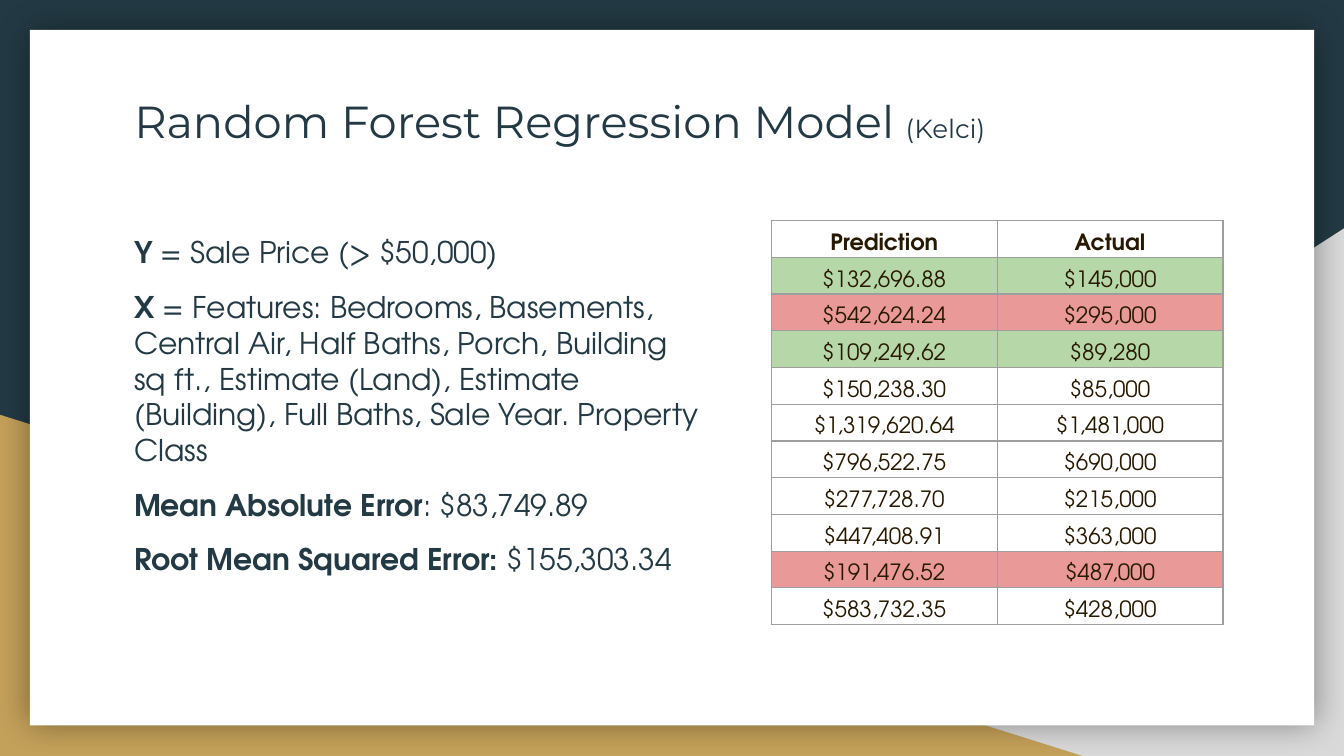
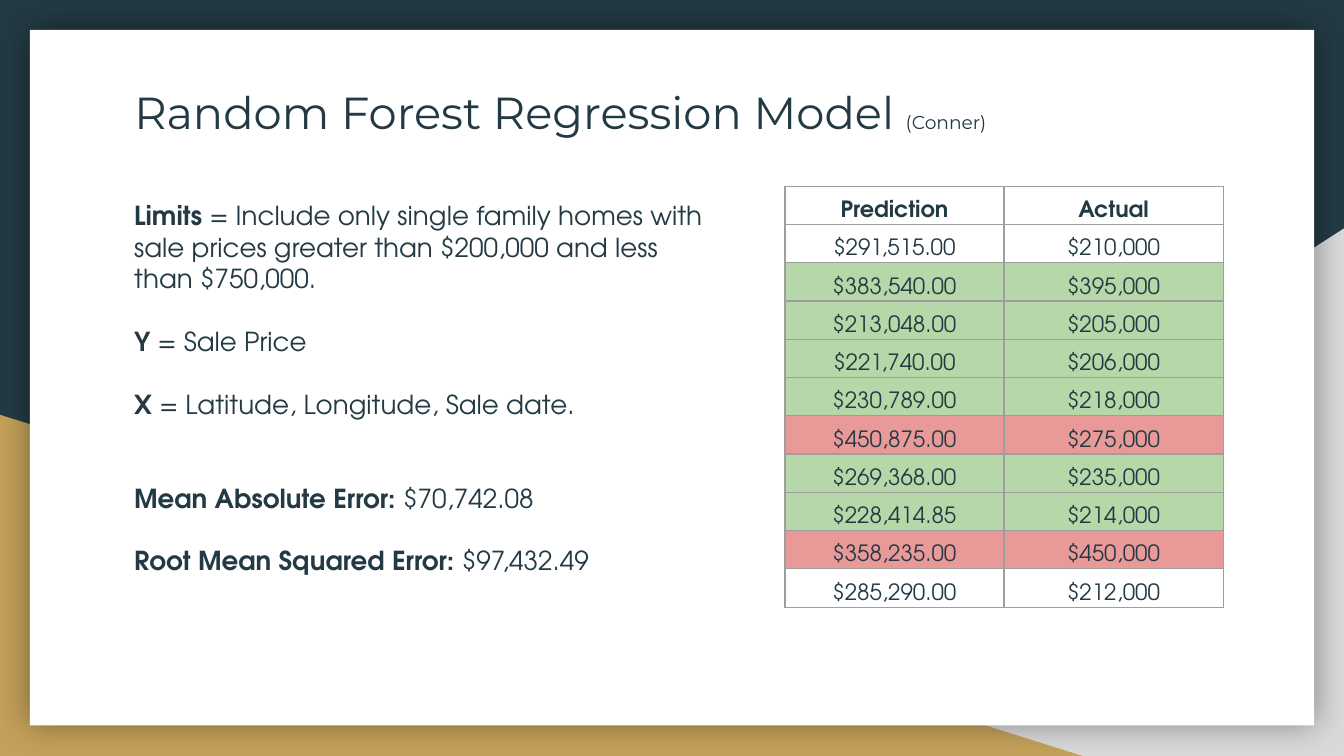
from lxml import etree
from pptx import Presentation
from pptx.dml.color import RGBColor
from pptx.enum.shapes import MSO_SHAPE
from pptx.enum.text import MSO_ANCHOR, MSO_AUTO_SIZE, PP_ALIGN
from pptx.oxml import parse_xml
from pptx.oxml.ns import nsdecls, qn
from pptx.util import Pt

COLORS = {
    "ink": "233A44", "brown": "271900", "gold": "C4A15A", "gray": "D9D9D9",
    "white": "FFFFFF", "border": "9E9E9E", "good": "B6D7A8", "bad": "EA9999",
}
TITLE_FONT = "Montserrat"
BODY_FONT = "TeX Gyre Adventor"
LEFT = 64.8

# Each row: prediction, actual, and a fill for close or distant predictions
KELCI_ROWS = [
    ("$132,696.88", "$145,000", "good"),
    ("$542,624.24", "$295,000", "bad"),
    ("$109,249.62", "$89,280", "good"),
    ("$150,238.30", "$85,000", None),
    ("$1,319,620.64", "$1,481,000", None),
    ("$796,522.75", "$690,000", None),
    ("$277,728.70", "$215,000", None),
    ("$447,408.91", "$363,000", None),
    ("$191,476.52", "$487,000", "bad"),
    ("$583,732.35", "$428,000", None),
]
CONNER_ROWS = [
    ("$291,515.00", "$210,000", None),
    ("$383,540.00", "$395,000", "good"),
    ("$213,048.00", "$205,000", "good"),
    ("$221,740.00", "$206,000", "good"),
    ("$230,789.00", "$218,000", "good"),
    ("$450,875.00", "$275,000", "bad"),
    ("$269,368.00", "$235,000", "good"),
    ("$228,414.85", "$214,000", "good"),
    ("$358,235.00", "$450,000", "bad"),
    ("$285,290.00", "$212,000", None),
]

# Each paragraph: bold part, plain part, space before
KELCI_NOTES = [
    ("Y", " = Sale Price (> $50,000)", 0),
    ("X ", "= Features: Bedrooms, Basements, Central Air, Half Baths, Porch, "
     "Building sq ft., Estimate (Land), Estimate (Building), Full Baths, "
     "Sale Year. Property Class", 10),
    ("Mean Absolute Error", ": $83,749.89", 10),
    ("Root Mean Squared Error: ", "$155,303.34", 10),
]
CONNER_NOTES = [
    ("Limits ", "= Include only single family homes with sale prices greater "
     "than $200,000 and less than $750,000.", 0),
    ("Y", " = Sale Price", 16.8),
    ("X ", "= Latitude, Longitude, Sale date.", 16.8),
    ("Mean Absolute Error: ", "$70,742.08", 33.6),
    ("Root Mean Squared Error:", " $97,432.49", 16.8),
]


def rgb(name):
    return RGBColor.from_string(COLORS[name])


def set_font(font, name, size, color):
    font.name, font.size = name, Pt(size)
    font.color.rgb = rgb(color)


def set_insets(tf):
    tf.margin_left = tf.margin_right = tf.margin_top = tf.margin_bottom = Pt(7.2)
    tf.vertical_anchor = MSO_ANCHOR.TOP
    tf.word_wrap = True
    tf.auto_size = MSO_AUTO_SIZE.NONE


def add_backdrop(layout, slide):
    """Draw the corner triangles and the card, then move them to the layout."""
    for ph in list(layout.placeholders)[1:]:
        ph.element.getparent().remove(ph.element)
    parts = [
        (MSO_SHAPE.RIGHT_TRIANGLE, (282, 122.4, 438, 282.6), "gray"),
        (MSO_SHAPE.RIGHT_TRIANGLE, (0, 222.2, 580, 182.8), "gold"),
        (MSO_SHAPE.RECTANGLE, (16, 16, 688, 372.7), "white"),
    ]
    shapes = []
    for kind, box, color in parts:
        sp = slide.shapes.add_shape(kind, *map(Pt, box))
        sp.fill.solid()
        sp.fill.fore_color.rgb = rgb(color)
        sp.line.fill.background()
        sp.shadow.inherit = False
        shapes.append(sp)
    right_corner, _, card = shapes
    right_corner.element.spPr.find(qn("a:xfrm")).set("flipH", "1")

    # Soft shadow all around the card
    effects = card.element.spPr.find(qn("a:effectLst"))
    effects.append(parse_xml(
        f'<a:outerShdw {nsdecls("a")} blurRad="{Pt(18)}" dist="0" dir="0" '
        'algn="ctr" rotWithShape="0"><a:srgbClr val="000000">'
        '<a:alpha val="40000"/></a:srgbClr></a:outerShdw>'))
    tree = layout.element.cSld.spTree
    for i, sp in enumerate(shapes):
        tree.insert(2 + i, sp.element)


def add_title(slide, author, author_size, top, height):
    sp = slide.shapes.title
    sp.left, sp.top, sp.width, sp.height = map(Pt, (LEFT, top, 591, height))
    tf = sp.text_frame
    set_insets(tf)
    p = tf.paragraphs[0]
    p.alignment = PP_ALIGN.LEFT
    for text, size in (("Random Forest Regression Model ", 24), (author, author_size)):
        r = p.add_run()
        r.text = text
        set_font(r.font, TITLE_FONT, size, "ink")


def add_notes(slide, notes, size, box):
    tf = slide.shapes.add_textbox(*map(Pt, box)).text_frame
    set_insets(tf)
    for i, (label, text, gap) in enumerate(notes):
        p = tf.add_paragraph() if i else tf.paragraphs[0]
        set_font(p.font, BODY_FONT, size, "ink")
        if gap:
            p.space_before = Pt(gap)
        for part, bold in ((label, True), (text, False)):
            r = p.add_run()
            r.text, r.font.bold = part, bold


def set_borders(cell):
    tcPr = cell._tc.get_or_add_tcPr()
    for i, side in enumerate(("lnL", "lnR", "lnT", "lnB")):
        ln = etree.Element(qn(f"a:{side}"), w=str(Pt(0.75)))
        fill = etree.SubElement(ln, qn("a:solidFill"))
        etree.SubElement(fill, qn("a:srgbClr"), val=COLORS["border"])
        tcPr.insert(i, ln)


def add_results(slide, results, color, left, top, col_width, row_height):
    rows = [("Prediction", "Actual", None)] + results
    table = slide.shapes.add_table(
        len(rows), 2, Pt(left), Pt(top),
        Pt(2 * col_width), Pt(len(rows) * row_height)).table
    table.first_row = table.horz_banding = False
    for col in table.columns:
        col.width = Pt(col_width)
    for i, (*values, shade) in enumerate(rows):
        table.rows[i].height = Pt(row_height)
        for j, value in enumerate(values):
            cell = table.cell(i, j)
            cell.text = value
            cell.vertical_anchor = MSO_ANCHOR.BOTTOM
            cell.margin_left = cell.margin_right = Pt(2.25)
            cell.margin_top = cell.margin_bottom = Pt(1.5)
            if shade:
                cell.fill.solid()
                cell.fill.fore_color.rgb = rgb(shade)
            else:
                cell.fill.background()
            set_borders(cell)
            p = cell.text_frame.paragraphs[0]
            p.alignment, p.line_spacing = PP_ALIGN.CENTER, 1.15
            set_font(p.font, BODY_FONT, 12, color)
            p.font.bold = i == 0


def main():
    prs = Presentation()
    prs.slide_width, prs.slide_height = Pt(720), Pt(405)
    bg = prs.slide_master.background.fill
    bg.solid()
    bg.fore_color.rgb = rgb("ink")
    layout = prs.slide_layouts[5]

    # Kelci's model
    slide = prs.slides.add_slide(layout)
    add_backdrop(layout, slide)
    add_title(slide, "(Kelci)", 14, top=43.2, height=75)
    add_results(slide, KELCI_ROWS, "brown", 413.2, 118.2, 121, 19.7)
    add_notes(slide, KELCI_NOTES, 16, (LEFT, 118.2, 321, 217))

    # Conner's model
    slide = prs.slides.add_slide(layout)
    add_title(slide, "(Conner)", 10, top=38.2, height=36)
    add_results(slide, CONNER_ROWS, "ink", 420.5, 99.8, 117.4, 20.5)
    add_notes(slide, CONNER_NOTES, 14, (LEFT, 99.8, 322, 232.6))

    prs.save("out.pptx")


if __name__ == "__main__":
    main()
